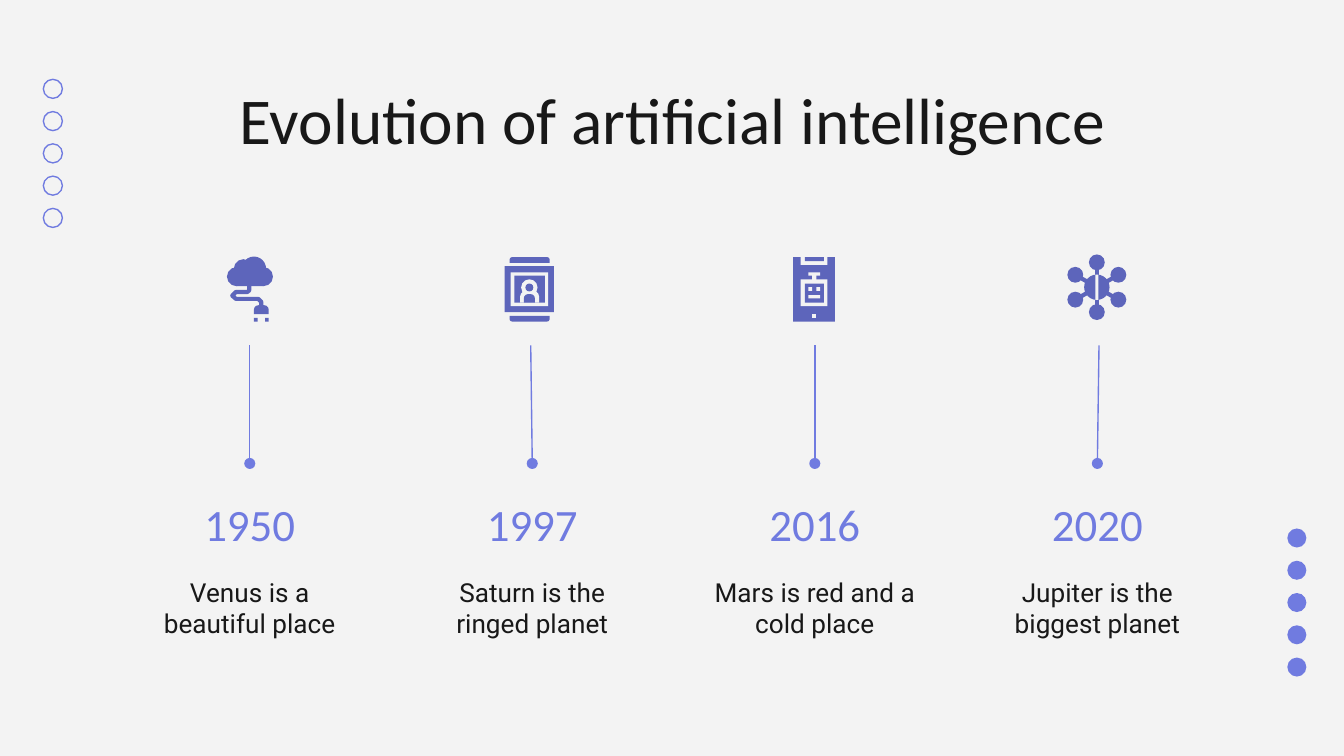
from dataclasses import dataclass
from math import cos, radians, sin

from lxml import etree
from pptx import Presentation
from pptx.dml.color import RGBColor
from pptx.enum.shapes import MSO_CONNECTOR, MSO_SHAPE
from pptx.enum.text import MSO_ANCHOR, PP_ALIGN
from pptx.oxml.ns import qn
from pptx.util import Cm, Pt

OVAL = MSO_SHAPE.OVAL
RECT = MSO_SHAPE.RECTANGLE
DOME = MSO_SHAPE.ROUND_2_SAME_RECTANGLE
STRAIGHT = MSO_CONNECTOR.STRAIGHT
TOP, BOTTOM = MSO_ANCHOR.TOP, MSO_ANCHOR.BOTTOM
CENTER = PP_ALIGN.CENTER


@dataclass(frozen=True)
class Theme:
    back: RGBColor = RGBColor.from_string("F3F3F3")
    ink: RGBColor = RGBColor.from_string("181818")
    accent: RGBColor = RGBColor.from_string("707BE0")
    icon: RGBColor = RGBColor.from_string("5D65BB")
    head_font: str = "Calibri"
    body_font: str = "Roboto"
    title: Pt = Pt(35)
    year: Pt = Pt(24)
    body: Pt = Pt(14)


T = Theme()

prs = Presentation()
prs.slide_width, prs.slide_height = Cm(25.4), Cm(14.29)
s = prs.slides.add_slide(prs.slide_layouts[6])
s.background.fill.solid()
s.background.fill.fore_color.rgb = T.back


def add_shape(kind, x, y, w, h, color):
    sp = s.shapes.add_shape(kind, Cm(x), Cm(y), Cm(w), Cm(h))
    sp.shadow.inherit = False
    sp.fill.solid()
    sp.fill.fore_color.rgb = color
    sp.line.fill.background()
    if kind == DOME:
        sp.adjustments[0] = 0.5
    return sp


def add_line(x1, y1, x2, y2, color, weight):
    cn = s.shapes.add_connector(STRAIGHT, Cm(x1), Cm(y1), Cm(x2), Cm(y2))
    cn.line.color.rgb = color
    cn.line.width = Pt(weight)
    etree.SubElement(cn._element.spPr, qn("a:effectLst"))
    return cn


for i in range(5):
    add_shape(OVAL, 24.33, 9.99 + 0.61 * i, 0.36, 0.36, T.accent)
    ring = add_shape(OVAL, 0.82, 1.5 + 0.61 * i, 0.36, 0.36, T.accent)
    ring.fill.background()
    ring.line.color.rgb = T.accent
    ring.line.width = Pt(0.75)

milestones = [
    ("1950", "Venus is a beautiful place", 0),
    ("1997", "Saturn is the ringed planet", -0.03),
    ("2016", "Mars is red and a cold place", 0),
    ("2020", "Jupiter is the biggest planet", 0.03),
]
texts = [("Evolution of artificial intelligence", 2.01, 1.24, 21.41, 1.6,
          T.title, T.head_font, T.ink, TOP)]
for i, (year, fact, slant) in enumerate(milestones):
    x = 2.38 + 5.34 * i
    texts.append((year, x, 8.76, 4.68, 1.9, T.year, T.head_font, T.accent, BOTTOM))
    texts.append((fact, x, 10.64, 4.68, 1.73, T.body, T.body_font, T.ink, TOP))
    stem = add_line(x + 2.34 + slant, 6.53, x + 2.34, 8.76, T.accent, 0.75)
    etree.SubElement(stem.line._get_or_add_ln(), qn("a:tailEnd"), type="oval")

for text, x, y, w, h, size, font, color, anchor in texts:
    tf = s.shapes.add_textbox(Cm(x), Cm(y), Cm(w), Cm(h)).text_frame
    tf.word_wrap = True
    tf.vertical_anchor = anchor
    tf.margin_left = tf.margin_right = tf.margin_top = tf.margin_bottom = Cm(0.25)
    p = tf.paragraphs[0]
    p.text = text
    p.alignment = CENTER
    p.font.size = size
    p.font.name = font
    p.font.color.rgb = color

cloud = [
    (OVAL, 4.29, 5.05, 0.36, 0.36, T.icon),
    (OVAL, 4.42, 4.9, 0.36, 0.36, T.icon),
    (OVAL, 4.57, 4.85, 0.46, 0.46, T.icon),
    (OVAL, 4.8, 5.05, 0.36, 0.36, T.icon),
    (RECT, 4.47, 5.15, 0.51, 0.26, T.icon),
    (DOME, 4.8, 5.77, 0.28, 0.17, T.icon),
    (RECT, 4.8, 6.01, 0.07, 0.07, T.icon),
    (RECT, 5.01, 6.01, 0.07, 0.07, T.icon),
]
portrait = [
    (DOME, 9.63, 4.86, 0.76, 0.11, T.icon),
    (RECT, 9.54, 5.03, 0.93, 0.87, T.icon),
    (RECT, 9.65, 5.15, 0.71, 0.64, T.back),
    (RECT, 9.72, 5.21, 0.58, 0.51, T.icon),
    (OVAL, 9.85, 5.28, 0.31, 0.31, T.back),
    (DOME, 9.83, 5.5, 0.36, 0.22, T.back),
    (OVAL, 9.93, 5.36, 0.15, 0.15, T.icon),
    (DOME, 9.9, 5.56, 0.21, 0.16, T.icon),
]
robot = [
    (RECT, 14.99, 4.86, 0.79, 1.22, T.icon),
    (RECT, 15.13, 4.85, 0.51, 0.16, T.back),
    (RECT, 15.21, 4.86, 0.36, 0.08, T.icon),
    (RECT, 15.28, 5.15, 0.22, 0.06, T.back),
    (RECT, 15.35, 5.2, 0.08, 0.1, T.back),
    (RECT, 15.13, 5.28, 0.51, 0.51, T.back),
    (RECT, 15.21, 5.36, 0.36, 0.36, T.icon),
    (RECT, 15.28, 5.43, 0.07, 0.07, T.back),
    (RECT, 15.43, 5.43, 0.07, 0.07, T.back),
    (RECT, 15.28, 5.58, 0.22, 0.06, T.back),
    (RECT, 15.35, 5.94, 0.07, 0.07, T.back),
]
for part in cloud + portrait + robot:
    add_shape(*part)

base = add_shape(DOME, 9.63, 5.97, 0.76, 0.11, T.icon)
base.adjustments[0], base.adjustments[1] = 0, 0.5

cable = [(4.71, 5.4), (4.71, 5.49), (4.68, 5.52), (4.46, 5.52), (4.39, 5.59),
         (4.46, 5.65), (4.88, 5.65), (4.94, 5.71), (4.94, 5.85)]
fb = s.shapes.build_freeform(Cm(cable[0][0]), Cm(cable[0][1]))
fb.add_line_segments([(Cm(x), Cm(y)) for x, y in cable[1:]], close=False)
sp = fb.convert_to_shape()
sp.shadow.inherit = False
sp.fill.background()
sp.line.color.rgb = T.icon
sp.line.width = Pt(2.25)

hub_x, hub_y, reach = 20.73, 5.43, 0.47
for i in range(6):
    angle = radians(30 + 60 * i)
    x, y = hub_x + reach * cos(angle), hub_y + reach * sin(angle)
    add_line(hub_x, hub_y, x, y, T.icon, 2.25)
    add_shape(OVAL, x - 0.15, y - 0.15, 0.3, 0.3, T.icon)
add_shape(OVAL, hub_x - 0.24, hub_y - 0.24, 0.48, 0.48, T.icon)
add_shape(RECT, hub_x - 0.03, hub_y - 0.24, 0.06, 0.48, T.back)

prs.save("out.pptx")
